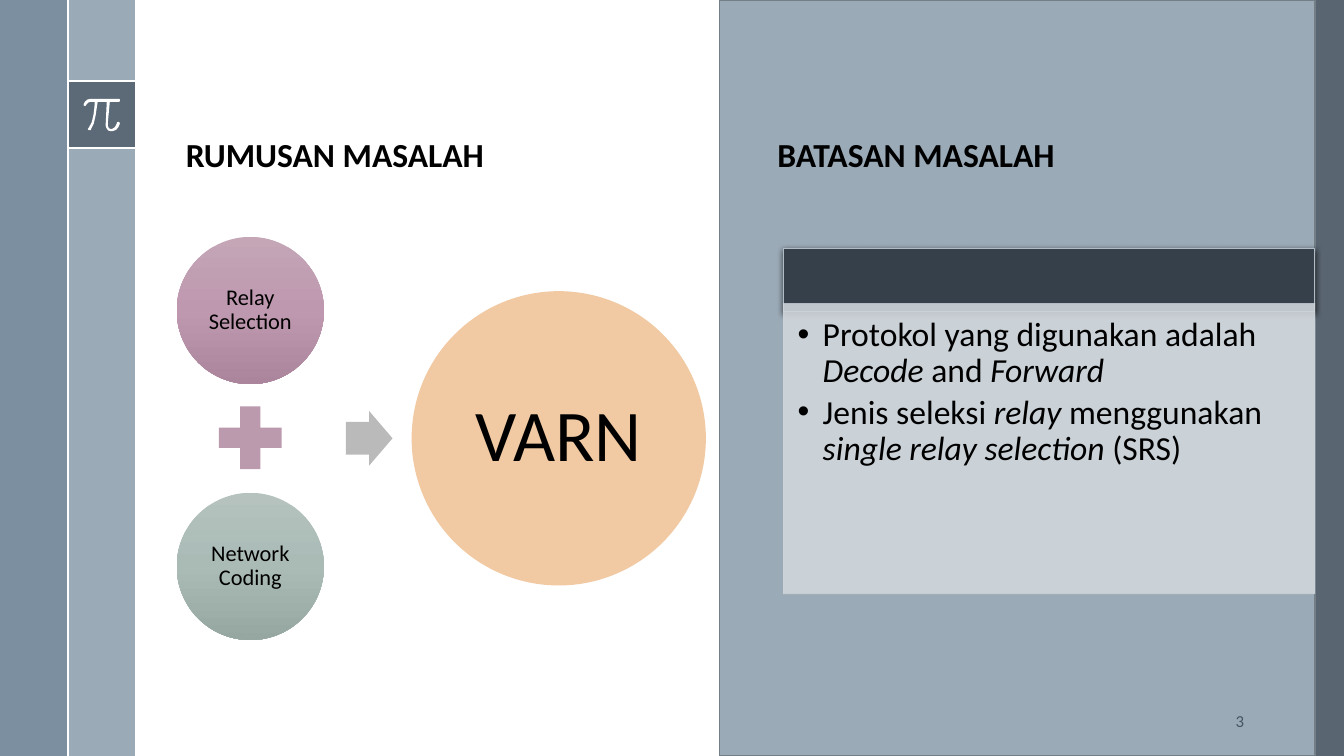
from copy import deepcopy

from lxml.etree import SubElement
from pptx import Presentation
from pptx.dml.color import RGBColor
from pptx.enum.shapes import MSO_CONNECTOR, MSO_SHAPE
from pptx.enum.text import MSO_ANCHOR, PP_ALIGN
from pptx.oxml.ns import qn
from pptx.util import Pt

BLACK = RGBColor(0x00, 0x00, 0x00)
WHITE = RGBColor(0xFF, 0xFF, 0xFF)
SLATE = RGBColor(0x47, 0x55, 0x62)
STEEL = RGBColor(0x6A, 0x80, 0x93)
MIST = RGBColor(0x9B, 0xAA, 0xB7)
EDGE = RGBColor(0x73, 0x7E, 0x87)
NAVY = RGBColor(0x35, 0x40, 0x4A)
RIM = RGBColor(0xAF, 0xBB, 0xC6)
PALE = RGBColor(0xD0, 0xD6, 0xDB)
MAUVE = RGBColor(0xBC, 0x9A, 0xAE)
GREY = RGBColor(0xBA, 0xBA, 0xBA)
PEACH = RGBColor(0xF1, 0xC9, 0xA3)
ROSE = [RGBColor(0xC4, 0xA6, 0xB7), RGBColor(0xBE, 0x98, 0xAE), RGBColor(0xAB, 0x85, 0x9B)]
SAGE = [RGBColor(0xB5, 0xC2, 0xBE), RGBColor(0xAA, 0xBB, 0xB6), RGBColor(0x96, 0xA7, 0xA2)]

# Pi outline in hundredths of an inch: a pair is a corner, six numbers a curve
UNIT = 0.72
PI_START = (118, 98)
PI_SIGN = [
    (90, 98), (85, 98, 83, 103, 83, 104), (83, 104, 83, 105, 84, 105),
    (85, 105), (85, 105, 87, 101, 90, 101), (94, 101),
    (94, 105, 93, 122, 88, 127), (87, 128, 87, 128, 88, 129),
    (88, 129, 89, 129, 89, 129), (90, 129), (95, 123, 96, 105, 97, 101),
    (106, 101), (105, 122), (105, 122, 104, 126, 107, 129),
    (108, 130, 109, 130, 110, 130), (111, 130, 111, 130, 112, 130),
    (117, 130, 119, 123, 119, 122), (119, 122, 118, 121, 118, 121),
    (117, 121, 116, 121, 116, 122), (116, 122, 115, 127, 111, 128),
    (110, 128, 109, 128, 108, 127), (107, 126, 107, 123, 107, 122),
    (109, 101), (118, 101), (119, 101, 119, 100, 119, 100),
    (119, 99, 119, 98, 118, 98),
]

RULES = [
    [("Protokol yang digunakan adalah ", False), ("Decode ", True),
     ("and", False), (" Forward", True)],
    [("Jenis seleksi", False), (" relay", True), (" menggunakan ", False),
     ("single relay selection", True), (" (SRS)", False)],
]


def fade(color, share):
    SubElement(color, qn("a:alpha"), val=str(share * 1000))


def add_form(slide, kind, box, fill, alpha=None, line=None, width=1):
    form = slide.shapes.add_shape(kind, *map(Pt, box))
    form.shadow.inherit = False
    if isinstance(fill, list):
        blend(form, fill)
    else:
        form.fill.solid()
        form.fill.fore_color.rgb = fill
    if line is None:
        form.line.fill.background()
    else:
        form.line.color.rgb = line
        form.line.width = Pt(width)
    if alpha:
        for color in form._element.spPr.iter(qn("a:srgbClr")):
            fade(color, alpha)
    return form


def blend(form, colors):
    form.fill.gradient()
    form.fill.gradient_angle = 270
    stops = next(form._element.spPr.iter(qn("a:gsLst")))
    stops.append(deepcopy(stops[0]))
    for i, (stop, color) in enumerate(zip(form.fill.gradient_stops, colors)):
        stop.color.rgb = color
        stop.position = i / 2


def add_shade(form):
    effects = form._element.spPr.find(qn("a:effectLst"))
    shade = SubElement(effects, qn("a:outerShdw"), blurRad=str(Pt(4.5)),
                       dist=str(Pt(1.5)), dir="5400000", rotWithShape="0")
    fade(SubElement(shade, qn("a:srgbClr"), val=str(BLACK)), 63)


def add_line(slide, *ends):
    line = slide.shapes.add_connector(MSO_CONNECTOR.STRAIGHT, *map(Pt, ends))
    line.line.color.rgb = WHITE
    line.line.width = Pt(1.5)
    SubElement(line._element.spPr, qn("a:effectLst"))


def add_pi(slide):
    points, last = [], PI_START
    for part in PI_SIGN:
        if len(part) == 2:
            points.append(part)
        else:
            ends = [last, part[:2], part[2:4], part[4:]]
            for t in (0.25, 0.5, 0.75, 1):
                rates = ((1 - t) ** 3, 3 * t * (1 - t) ** 2, 3 * t * t * (1 - t), t ** 3)
                points.append([sum(r * p[k] for r, p in zip(rates, ends)) for k in (0, 1)])
        last = part[-2:]
    spots = [(Pt(x * UNIT), Pt(y * UNIT)) for x, y in points]
    pen = slide.shapes.build_freeform(*(Pt(n * UNIT) for n in PI_START))
    pen.add_line_segments(spots, close=True)
    sign = pen.convert_to_shape()
    sign.shadow.inherit = False
    sign.fill.solid()
    sign.fill.fore_color.rgb = WHITE
    sign.line.fill.background()


def style(par, size, color=BLACK, align=PP_ALIGN.LEFT, bold=False):
    par.alignment = align
    for run in par.runs:
        run.font.name = "Calibri"
        run.font.size = Pt(size)
        run.font.color.rgb = color
        run.font.bold = bold


def set_frame(frame, anchor, left, top, right, bottom):
    frame.word_wrap = True
    frame.vertical_anchor = anchor
    frame.margin_left, frame.margin_top = Pt(left), Pt(top)
    frame.margin_right, frame.margin_bottom = Pt(right), Pt(bottom)


def add_disc(slide, left, top, side, fill, text, size, inset):
    disc = add_form(slide, MSO_SHAPE.OVAL, (left, top, side, side), fill)
    set_frame(disc.text_frame, MSO_ANCHOR.MIDDLE, *[inset] * 4)
    disc.text_frame.text = text
    par = disc.text_frame.paragraphs[0]
    par.line_spacing = 0.9
    style(par, size, align=PP_ALIGN.CENTER)


def set_head(holder, left, width, text):
    holder.left, holder.top = Pt(left), Pt(54.4)
    holder.width, holder.height = Pt(width), Pt(74.2)
    set_frame(holder.text_frame, MSO_ANCHOR.BOTTOM, 7.2, 3.6, 7.2, 3.6)
    holder.text_frame.text = text
    par = holder.text_frame.paragraphs[0]
    par.line_spacing = 0.9
    par.space_before = Pt(0)
    style(par, 24, bold=True)


def add_rules(frame):
    set_frame(frame, MSO_ANCHOR.TOP, 10, 10, 13.7, 15.1)
    for i, parts in enumerate(RULES):
        par = frame.add_paragraph() if i else frame.paragraphs[0]
        for text, slant in parts:
            run = par.add_run()
            run.text = text
            run.font.italic = slant
        style(par, 24)
        par.line_spacing = 0.9
        par.space_after = Pt(3.6)
        props = par._p.get_or_add_pPr()
        props.set("marL", str(Pt(18)))
        props.set("indent", str(Pt(-18)))
        SubElement(props, qn("a:buFont"), typeface="Arial")
        SubElement(props, qn("a:buChar"), char="•")


def main():
    deck = Presentation()
    deck.slide_width, deck.slide_height = Pt(960), Pt(540)
    slide = deck.slides.add_slide(deck.slide_layouts.get_by_name("Comparison"))
    rect = MSO_SHAPE.RECTANGLE

    # Side bars and pi badge
    add_form(slide, rect, (936, 0, 24, 540), SLATE, 90)
    add_form(slide, rect, (48.4, 0, 48, 540), MIST)
    add_form(slide, rect, (0, 0, 48.4, 540), STEEL, 88)
    add_form(slide, rect, (48.4, 58, 48, 48), SLATE, 75)
    for y in (58, 105.8):
        add_line(slide, 48.4, y, 96.4, y)
    add_pi(slide)
    add_line(slide, 48.4, 0, 48.4, 540)

    # Right panel
    add_form(slide, rect, (514, 0, 425.4, 540), MIST, line=EDGE)

    # Headings, brought in front of the panel
    heads = {1: (125.5, 379.4, "RUMUSAN MASALAH"), 3: (548, 347.8, "BATASAN MASALAH")}
    for holder in list(slide.placeholders):
        number = holder.placeholder_format.idx
        tree = holder._element.getparent()
        tree.remove(holder._element)
        if number in heads:
            tree.append(holder._element)
            set_head(holder, *heads[number])

    # Equation diagram
    add_disc(slide, 126.2, 169.2, 105.2, ROSE, "Relay Selection", 16, 1.4)
    add_form(slide, MSO_SHAPE.MATH_PLUS, (148.3, 282.2, 61, 61), MAUVE)
    add_disc(slide, 126.2, 352, 105.2, SAGE, "Network Coding", 16, 1.4)
    arrow = add_form(slide, MSO_SHAPE.RIGHT_ARROW, (247, 293.6, 33.4, 39), GREY)
    arrow.adjustments[0] = 0.6
    add_disc(slide, 294, 208, 210.2, PEACH, "VARN", 52, 5)

    # Limits box
    add_shade(add_form(slide, rect, (559.7, 177.2, 379.5, 45.2), NAVY, line=RIM, width=0.5))
    card = add_form(slide, rect, (559.7, 216.7, 379.5, 207.4), PALE, 90, PALE, 0.5)
    add_rules(card.text_frame)

    # Page number
    page = slide.shapes.add_textbox(*map(Pt, (847.5, 500.4, 48.2, 28.8))).text_frame
    set_frame(page, MSO_ANCHOR.MIDDLE, 7.2, 3.6, 7.2, 3.6)
    page.text = "3"
    style(page.paragraphs[0], 12, SLATE, PP_ALIGN.RIGHT)

    deck.save("out.pptx")


if __name__ == "__main__":
    main()
